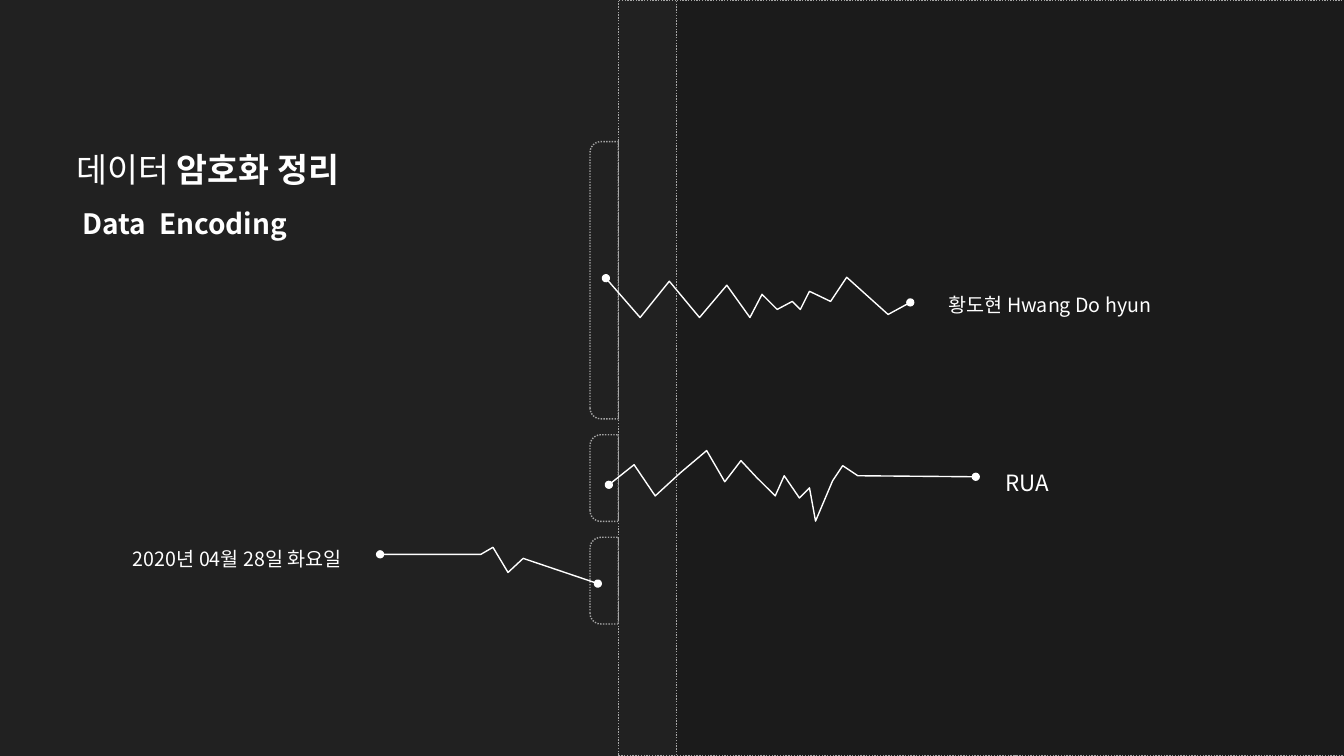
from dataclasses import dataclass

from lxml.etree import SubElement
from pptx import Presentation
from pptx.dml.color import RGBColor
from pptx.enum.dml import MSO_LINE
from pptx.enum.shapes import MSO_SHAPE
from pptx.enum.text import MSO_ANCHOR, MSO_AUTO_SIZE, PP_ALIGN
from pptx.oxml.ns import qn
from pptx.util import Inches, Pt


@dataclass(frozen=True)
class Theme:
    font: str = "Noto Sans CJK KR"
    background: RGBColor = RGBColor(0x21, 0x21, 0x21)
    panel: RGBColor = RGBColor(0x1B, 0x1B, 0x1B)
    border: RGBColor = RGBColor(0xA6, 0xA6, 0xA6)
    white: RGBColor = RGBColor(0xFF, 0xFF, 0xFF)
    title: int = 24
    subtitle: int = 20
    label: int = 16
    detail: int = 14
    line: int = 1


theme = Theme()
deck = Presentation()
deck.slide_width, deck.slide_height = Inches(13.33), Inches(7.5)
page = deck.slides.add_slide(deck.slide_layouts[5])
page.background.fill.solid()
page.background.fill.fore_color.rgb = theme.background

# Grid of 100 columns by 100 rows
COLUMN, ROW = deck.slide_width / 100, deck.slide_height / 100


def format_span(span, size, bold=False):
    span.font.name = theme.font
    span.font.size = Pt(size)
    span.font.bold = bold
    span.font.color.rgb = theme.white
    SubElement(span.font._element, qn("a:ea"), typeface=theme.font)


def add_dotted(kind, left, top, width, height, color=None):
    shape = page.shapes.add_shape(kind, int(left * COLUMN), int(top * ROW),
                                  int(width * COLUMN), int(height * ROW))
    shape.shadow.inherit = False
    if color is None:
        shape.fill.background()
    else:
        shape.fill.solid()
        shape.fill.fore_color.rgb = color
    shape.line.color.rgb = theme.border
    shape.line.width = Pt(theme.line)
    shape.line.dash_style = MSO_LINE.ROUND_DOT
    return shape


# Title and subtitle
title = page.shapes.title
title.left, title.top = int(4.95 * COLUMN), int(16.4 * ROW)
title.width, title.height = int(32.25 * COLUMN), int(19.2 * ROW)
frame = title.text_frame
frame.text = "\n".join(["", "Data  Encoding"])
frame.word_wrap = True
frame.auto_size = MSO_AUTO_SIZE.NONE
frame.vertical_anchor = MSO_ANCHOR.TOP
heading, subtitle = frame.paragraphs
for words, bold in (("데이터 ", False), ("암호화 정리", True)):
    span = heading.add_run()
    span.text = words
    format_span(span, theme.title, bold)
format_span(subtitle.runs[0], theme.subtitle, True)
for para in frame.paragraphs:
    para.alignment = PP_ALIGN.LEFT
    para.line_spacing = 1.5
subtitle._p.get_or_add_pPr().set("marL", str(Inches(0.06)))

# Spine with three index tabs, then the front panel
SPINE, TAB_DEPTH, TAB_GAP = 46, 2.1, 2.1
add_dotted(MSO_SHAPE.RECTANGLE, SPINE, 0, 100 - SPINE, 100, theme.background)
tab_top = 18.73
for tab_height in (36.67, 11.47, 11.47):
    tab = add_dotted(MSO_SHAPE.ROUND_2_SAME_RECTANGLE, SPINE - TAB_DEPTH, tab_top,
                     TAB_DEPTH, tab_height)
    center_x, center_y = tab.left + tab.width // 2, tab.top + tab.height // 2
    tab.width, tab.height = tab.height, tab.width
    tab.left, tab.top = center_x - tab.width // 2, center_y - tab.height // 2
    tab.rotation = 270
    tab.adjustments[0], tab.adjustments[1] = 0.385, 0
    tab_top += tab_height + TAB_GAP
add_dotted(MSO_SHAPE.RECTANGLE, 50.33, 0, 50.33, 100, theme.panel)

# Pulse lines, as points in columns and rows
author_pulse = [
    (45.08, 36.8), (47.63, 42), (49.8, 37.2), (52.05, 42), (54.08, 37.73),
    (55.8, 42), (56.7, 38.93), (57.83, 40.93), (58.95, 39.87), (59.55, 40.93),
    (60.23, 38.53), (61.8, 39.87), (63, 36.67), (66.08, 41.6), (67.73, 40)]
team_pulse = [
    (45.3, 64.13), (47.18, 61.47), (48.75, 65.6), (50.63, 62.53), (52.58, 59.6),
    (53.93, 63.73), (55.13, 60.93), (56.25, 63.07), (57.68, 65.6), (58.35, 62.93),
    (59.48, 65.87), (60.23, 64.53), (60.68, 68.93), (61.95, 63.6), (62.7, 61.6),
    (63.83, 62.93), (72.6, 63.07)]
date_pulse = [
    (28.28, 73.33), (35.78, 73.33), (36.68, 72.4), (37.8, 75.73),
    (38.93, 73.87), (44.48, 77.2)]
for points in (author_pulse, team_pulse, date_pulse):
    corners = [(int(x * COLUMN), int(y * ROW)) for x, y in points]
    builder = page.shapes.build_freeform(*corners[0])
    builder.add_line_segments(corners[1:], close=False)
    pulse = builder.convert_to_shape()
    pulse.shadow.inherit = False
    pulse.fill.background()
    pulse.line.color.rgb = theme.white
    pulse.line.width = Pt(theme.line)
    outline = pulse.line._get_or_add_ln()
    for end in ("a:headEnd", "a:tailEnd"):
        SubElement(outline, qn(end), type="oval")

# Labels at the ends of the pulse lines
labels = [
    ("황도현 Hwang Do hyun", 69.83, 36.53, 18.8, 5.5, theme.detail),
    ("RUA", 74.1, 59.6, 6, 6, theme.label),
    ("2020년 04월 28일 화요일", 9.15, 70.13, 18.4, 11, theme.detail)]
for words, left, top, width, height, size in labels:
    box = page.shapes.add_textbox(int(left * COLUMN), int(top * ROW),
                                  int(width * COLUMN), int(height * ROW))
    box.text_frame.word_wrap = True
    box.text_frame.text = words
    para = box.text_frame.paragraphs[0]
    para.line_spacing = 1.5
    format_span(para.runs[0], size)

deck.save("out.pptx")
